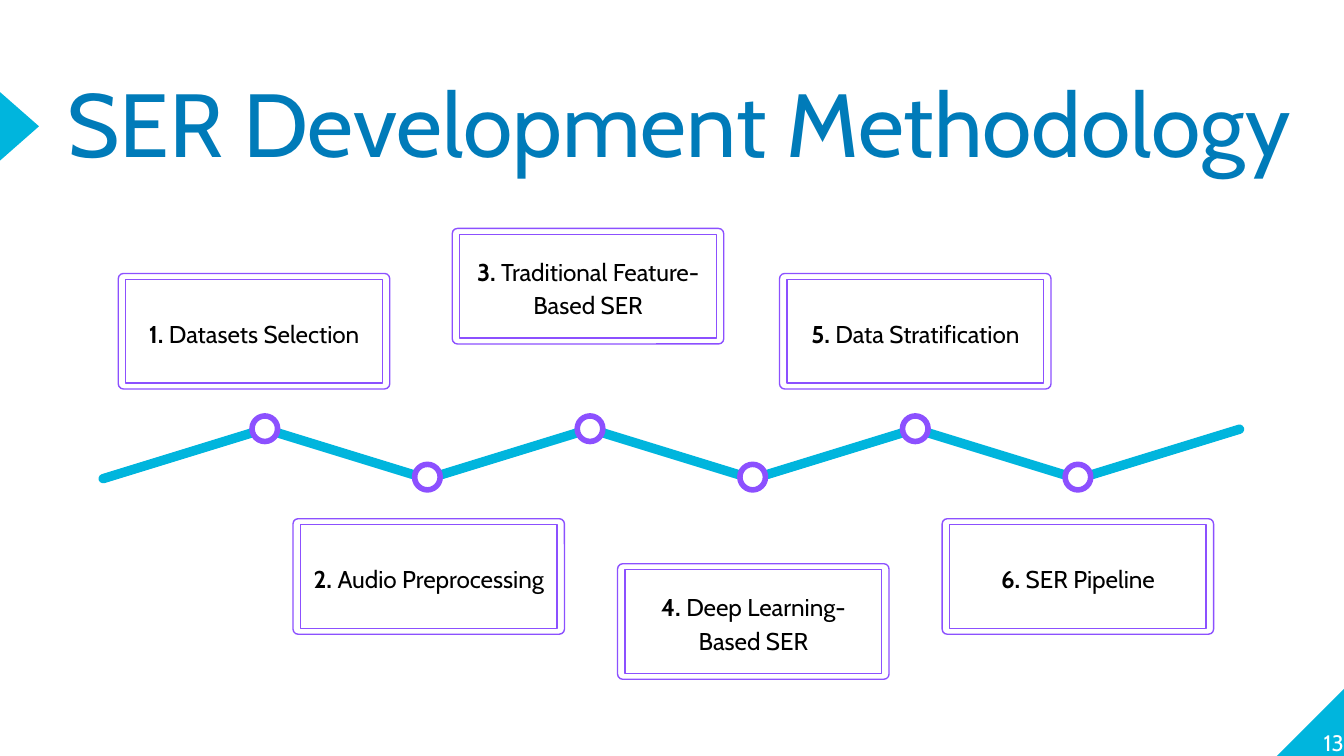
from dataclasses import dataclass

from pptx import Presentation
from pptx import util as u
from pptx.dml.color import RGBColor
from pptx.enum import shapes, text

COLS, ROWS = 100, 56.25  # square grid, ten cells to the inch
PITCH = 12.1             # columns from one zigzag segment to the next
FIRST = 13.65            # centre column of the first segment
MSO = shapes.MSO_SHAPE


@dataclass(frozen=True)
class Theme:
    font: str = "Cabin"
    accent: str = "00B5DD"
    heading: str = "007BB9"
    outline: str = "8C50FF"
    paper: str = "FFFFFF"
    ink: str = "000000"
    title_size: float = 48
    step_size: float = 13
    number_size: float = 12
    card_line: float = 0.75
    node_line: float = 3


def cells(n):
    return u.Inches(n / 10)


def write(tf, runs, size, color, font, align=text.PP_ALIGN.LEFT,
          anchor=text.MSO_ANCHOR.TOP, spacing=1.0, inset=0):
    """Fill a text frame with one paragraph of (words, bold) runs."""
    tf.word_wrap = True
    tf.auto_size = text.MSO_AUTO_SIZE.NONE
    tf.vertical_anchor = anchor
    tf.margin_left = tf.margin_right = cells(inset)
    tf.margin_top = tf.margin_bottom = cells(inset)
    p = tf.paragraphs[0]
    p.alignment, p.line_spacing = align, spacing
    p.space_before = u.Pt(0)
    for words, bold in runs:
        r = p.add_run()
        r.text = words
        r.font.name, r.font.size, r.font.bold = font, u.Pt(size), bold
        r.font.color.rgb = RGBColor.from_string(color)


class Deck:
    """Holds the theme and the current slide; places are in grid cells."""

    def __init__(self, theme):
        self.theme = theme
        self.prs = Presentation()
        self.prs.slide_width, self.prs.slide_height = cells(COLS), cells(ROWS)
        self.s = self.prs.slides.add_slide(self.prs.slide_layouts[5])

    def shape(self, kind, cx, cy, w, h, fill, line=None, width=0, turn=0, adj=None):
        """Add a preset shape around its centre."""
        sp = self.s.shapes.add_shape(
            kind, cells(cx - w / 2), cells(cy - h / 2), cells(w), cells(h))
        sp.shadow.inherit = False
        sp.rotation = turn
        if adj is not None:
            sp.adjustments[0] = adj
        sp.fill.solid()
        sp.fill.fore_color.rgb = RGBColor.from_string(fill)
        if line:
            sp.line.color.rgb = RGBColor.from_string(line)
            sp.line.width = u.Pt(width)
        else:
            sp.line.fill.background()
        return sp

    def title(self, words):
        t = self.theme
        sp = self.s.shapes.title
        sp.left, sp.top, sp.width, sp.height = map(cells, (5, 6.6, 92.9, 6.9))
        write(sp.text_frame, [(words, False)], t.title_size, t.heading, t.font,
              spacing=0.8)

    def decoration(self):
        accent = self.theme.accent
        self.shape(MSO.RIGHT_TRIANGLE, 97.55, 53.7, 5.1, 5.1, accent, turn=270)
        self.shape(MSO.ISOSCELES_TRIANGLE, 1.45, 9.4, 5.1, 2.9, accent, turn=90)

    def page_number(self, number):
        t = self.theme
        sp = self.s.shapes.add_textbox(*map(cells, (95, 51.5, 5, 4.75)))
        write(sp.text_frame, [(number, False)], t.number_size, t.paper, t.font,
              align=text.PP_ALIGN.RIGHT, anchor=text.MSO_ANCHOR.BOTTOM)

    def segment(self, index):
        turn = 17.1 if index % 2 else -17.1
        self.shape(MSO.ROUNDED_RECTANGLE, FIRST + index * PITCH, 33.78, 13.2, 0.7,
                   self.theme.accent, turn=turn, adj=0.5)

    def node(self, cx, cy):
        t = self.theme
        self.shape(MSO.OVAL, cx, cy, 1.9, 1.9, t.paper, t.outline, t.node_line)

    def card(self, cx, cy, number, words):
        t = self.theme
        style = dict(fill=t.paper, line=t.outline, width=t.card_line)
        self.shape(MSO.ROUNDED_RECTANGLE, cx, cy, 20.2, 8.6, adj=0.045, **style)
        sp = self.shape(MSO.RECTANGLE, cx, cy, 19.1, 7.7, **style)
        write(sp.text_frame, [(f"{number}. ", True), (words, False)],
              t.step_size, t.ink, t.font, align=text.PP_ALIGN.CENTER,
              anchor=text.MSO_ANCHOR.MIDDLE, spacing=1.15, inset=0.9)


def main():
    # wording, centre row of the card, shift of the card from its node
    steps = [
        ("Datasets Selection", 24.65, -0.8),
        ("Audio Preprocessing", 42.9, 0.1),
        ("Traditional Feature-Based SER", 21.3, -0.15),
        ("Deep Learning-Based SER", 46.25, 0.05),
        ("Data Stratification", 24.65, 0),
        ("SER Pipeline", 42.9, 0),
    ]
    deck = Deck(Theme())
    deck.decoration()
    deck.title("SER Development Methodology")
    deck.page_number("13")
    for i in range(len(steps) + 1):
        deck.segment(i)
    for i, (words, row, shift) in enumerate(steps):
        cx = FIRST + (i + 0.5) * PITCH
        deck.node(cx, 35.5 if i % 2 else 31.9)
        deck.card(cx + shift, row, i + 1, words)
    deck.prs.save("out.pptx")


if __name__ == "__main__":
    main()
